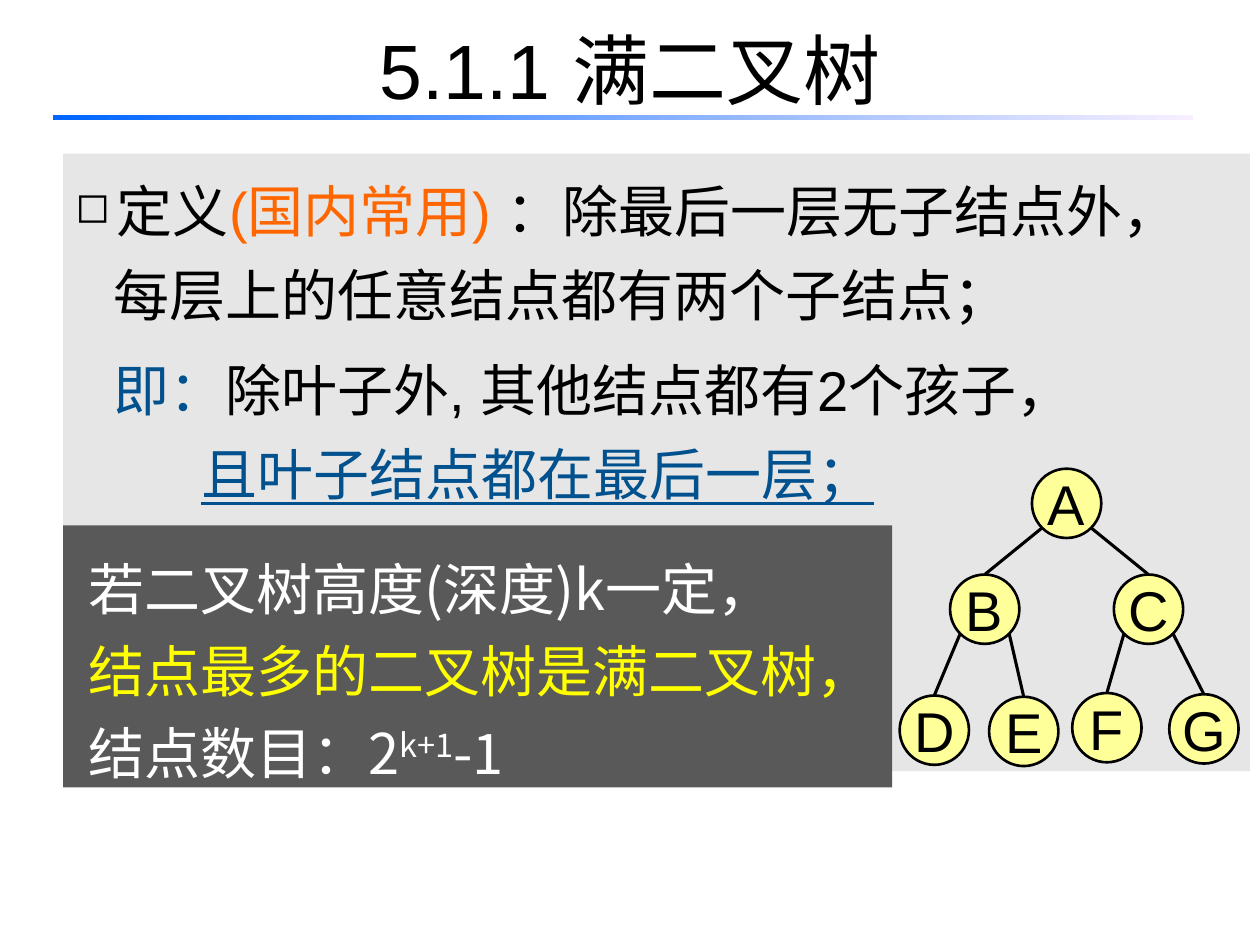
from math import sqrt

from lxml.etree import SubElement
from pptx import Presentation
from pptx.dml.color import RGBColor
from pptx.enum.shapes import MSO_CONNECTOR as Line, MSO_SHAPE as Preset
from pptx.enum.text import MSO_ANCHOR as Anchor, PP_ALIGN as Align
from pptx.oxml.ns import qn
from pptx.util import Inches, Pt

COLORS = {
    "black": "000000", "white": "FFFFFF", "panel": "E6E6E6", "dark": "595959",
    "node": "FFFF99", "orange": "FF6600", "navy": "00518E", "yellow": "FFFF00",
    "rule_start": "0066FF", "rule_end": "F7EFFF",
}
LATIN, HAN = "Arial", "Noto Sans CJK SC"
NODE_SIZE = 0.55
NODES = {
    "A": (8.19, 3.72), "B": (7.54, 4.56), "C": (8.84, 4.56), "D": (7.14, 5.52),
    "E": (7.85, 5.53), "F": (8.51, 5.5), "G": (9.28, 5.51),
}
CHILDREN = {"A": "BC", "B": "DE", "C": "FG"}


def color(name):
    """Return the named palette colour."""
    return RGBColor.from_string(COLORS[name])


def add_run(paragraph, text, tint, size=32, font=LATIN):
    """Append a styled run and return it."""
    run = paragraph.add_run()
    run.text = text
    run.font.name = font
    run.font.size = Pt(size)
    run.font.color.rgb = color(tint)
    SubElement(run.font._element, qn("a:ea"), typeface=HAN)
    return run


def add_block(slide, preset, box, tint=None):
    """Add a preset shape without shadow or outline."""
    block = slide.shapes.add_shape(preset, *map(Inches, box))
    block.shadow.inherit = False
    block.line.fill.background()
    if tint:
        block.fill.solid()
        block.fill.fore_color.rgb = color(tint)
    return block


def add_lines(frame, lines, pitch, font):
    """Fill a frame with left-aligned lines, each an indent and its runs."""
    frame.word_wrap = True
    frame.vertical_anchor = Anchor.TOP
    for number, (indent, pieces) in enumerate(lines):
        paragraph = frame.add_paragraph() if number else frame.paragraphs[0]
        paragraph.alignment = Align.LEFT
        paragraph.line_spacing = Pt(pitch)
        paragraph._p.get_or_add_pPr().set("marL", str(Inches(indent)))
        for text, tint in pieces:
            add_run(paragraph, text, tint, font=font)
    return frame.paragraphs


def add_title(slide):
    """Add the heading and the fading rule below it."""
    frame = slide.shapes.add_textbox(*map(Inches, (0.5, -0.08, 9, 1.25))).text_frame
    frame.word_wrap = True
    frame.vertical_anchor = Anchor.MIDDLE
    heading = frame.paragraphs[0]
    heading.alignment = Align.CENTER
    add_run(heading, "5.1.1 满", "black", 44)
    add_run(heading, "二叉树", "black", 44, HAN)

    rule = add_block(slide, Preset.RECTANGLE, (0.42, 0.91, 9.05, 0.04))
    rule.fill.gradient()
    rule.fill.gradient_angle = 0
    for stop, position, tint in zip(rule.fill.gradient_stops, (0, 1),
                                    ("rule_start", "rule_end")):
        stop.position = position
        stop.color.rgb = color(tint)


def add_definition(slide):
    """Add the grey panel that defines a full binary tree."""
    panel = add_block(slide, Preset.RECTANGLE, (0.5, 1.22, 9.42, 4.9), "panel")
    definition, _, restated, leaves = add_lines(panel.text_frame, [
        (0.33, [("定义", "black"), ("(国内常用) ", "orange"),
                ("：除最后一层无子结点外，", "black")]),
        (0.3, [("每层上的任意结点都有两个子结点；", "black")]),
        (0.3, [("即：", "navy"), ("除叶子外, 其他结点都有2个孩子，", "black")]),
        (1, [("且叶子结点都在最后一层；", "navy")]),
    ], 48, LATIN)
    properties = definition._p.get_or_add_pPr()
    properties.set("indent", str(-Inches(0.33)))
    bullet_color = SubElement(properties, qn("a:buClr"))
    SubElement(bullet_color, qn("a:srgbClr"), val=COLORS["black"])
    SubElement(properties, qn("a:buSzPct"), val="75000")
    SubElement(properties, qn("a:buChar"), char="◻")
    restated.space_before = Pt(6)
    leaves.runs[0].font.underline = True


def add_node_count(slide):
    """Add the dark panel with the number of nodes."""
    panel = add_block(slide, Preset.RECTANGLE, (0.5, 4.17, 6.58, 2.08), "dark")
    panel.text_frame.margin_top = Inches(0.11)
    panel.text_frame.margin_bottom = 0
    count = add_lines(panel.text_frame, [
        (0.1, [("若二叉树高度(深度)k一定，", "white")]),
        (0.1, [("结点最多的二叉树是满二叉树，", "yellow")]),
        (0.1, [("结点数目：2", "white"), ("k+1", "white"), ("-1", "white")]),
    ], 47, HAN)[2]
    count.runs[1].font._element.set("baseline", "30000")


def add_node(slide, letter):
    """Add one lettered tree node."""
    node = add_block(slide, Preset.OVAL, (*NODES[letter], NODE_SIZE, NODE_SIZE), "node")
    node.line.color.rgb = color("black")
    node.line.width = Pt(1.5)
    frame = node.text_frame
    frame.word_wrap = False
    frame.vertical_anchor = Anchor.MIDDLE
    frame.paragraphs[0].alignment = Align.CENTER
    add_run(frame.paragraphs[0], letter, "black")
    return node


def add_edge(slide, parent, child, side):
    """Join a parent's lower left (-1) or right (1) to the top of its child."""
    radius = parent.width / 2
    reach = radius / sqrt(2)
    start = (int(parent.left + radius + side * reach), int(parent.top + radius + reach))
    edge = slide.shapes.add_connector(Line.STRAIGHT, *start, child.left, child.top)
    edge.end_connect(child, 0)
    edge.line.color.rgb = color("black")
    edge.line.width = Pt(1.75)
    SubElement(edge._element.spPr, qn("a:effectLst"))


def add_tree(slide):
    """Add the sample full binary tree."""
    nodes = {letter: add_node(slide, letter) for letter in NODES}
    for parent, children in CHILDREN.items():
        for child, side in zip(children, (-1, 1)):
            add_edge(slide, nodes[parent], nodes[child], side)


def main():
    """Build and save the slide."""
    deck = Presentation()
    deck.slide_width, deck.slide_height = Inches(10), Inches(7.5)
    slide = deck.slides.add_slide(deck.slide_layouts[6])
    add_title(slide)
    add_definition(slide)
    add_tree(slide)
    add_node_count(slide)
    deck.save("out.pptx")


if __name__ == "__main__":
    main()
